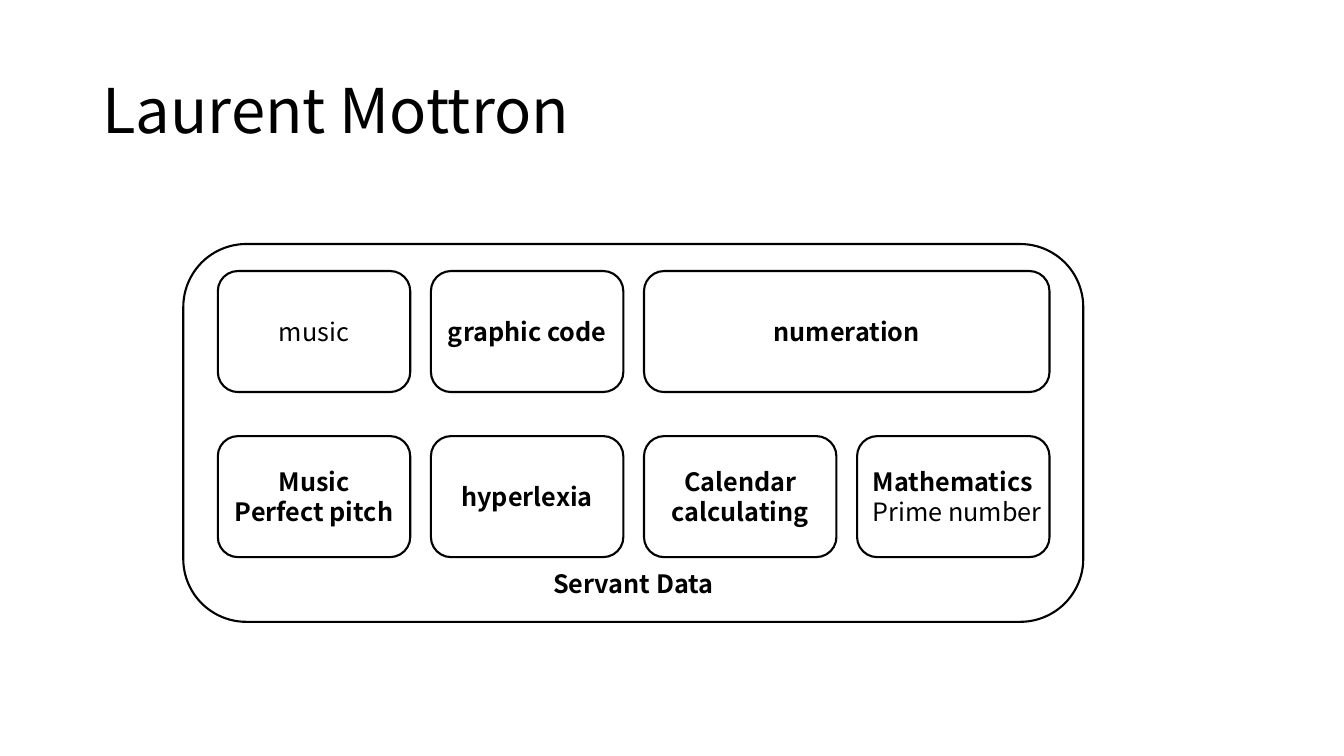
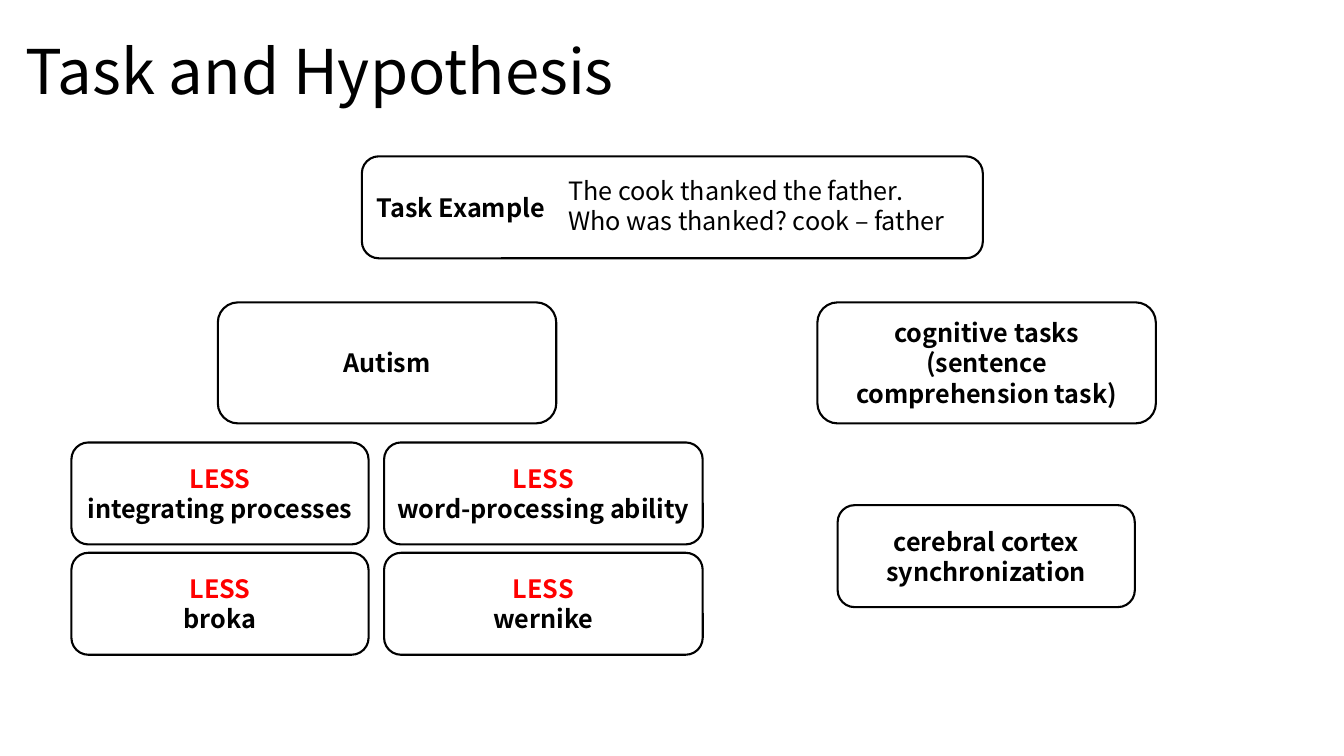
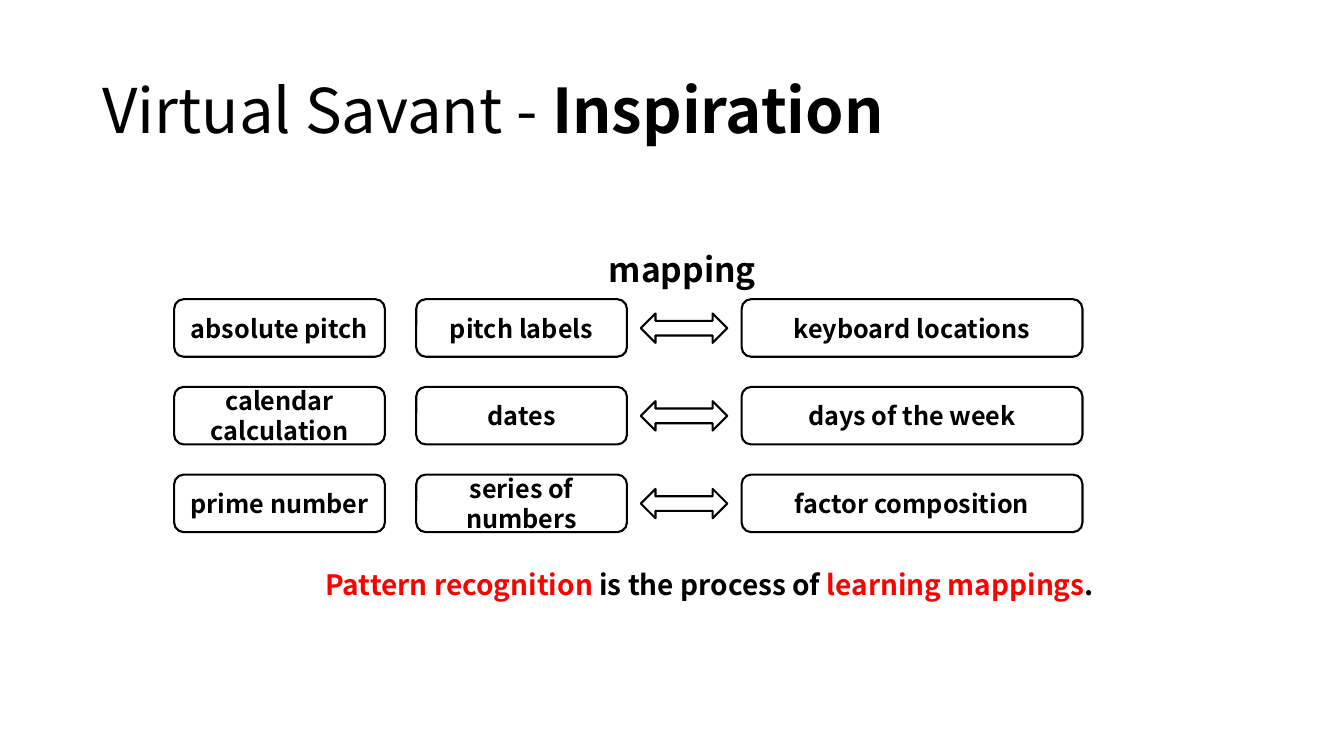
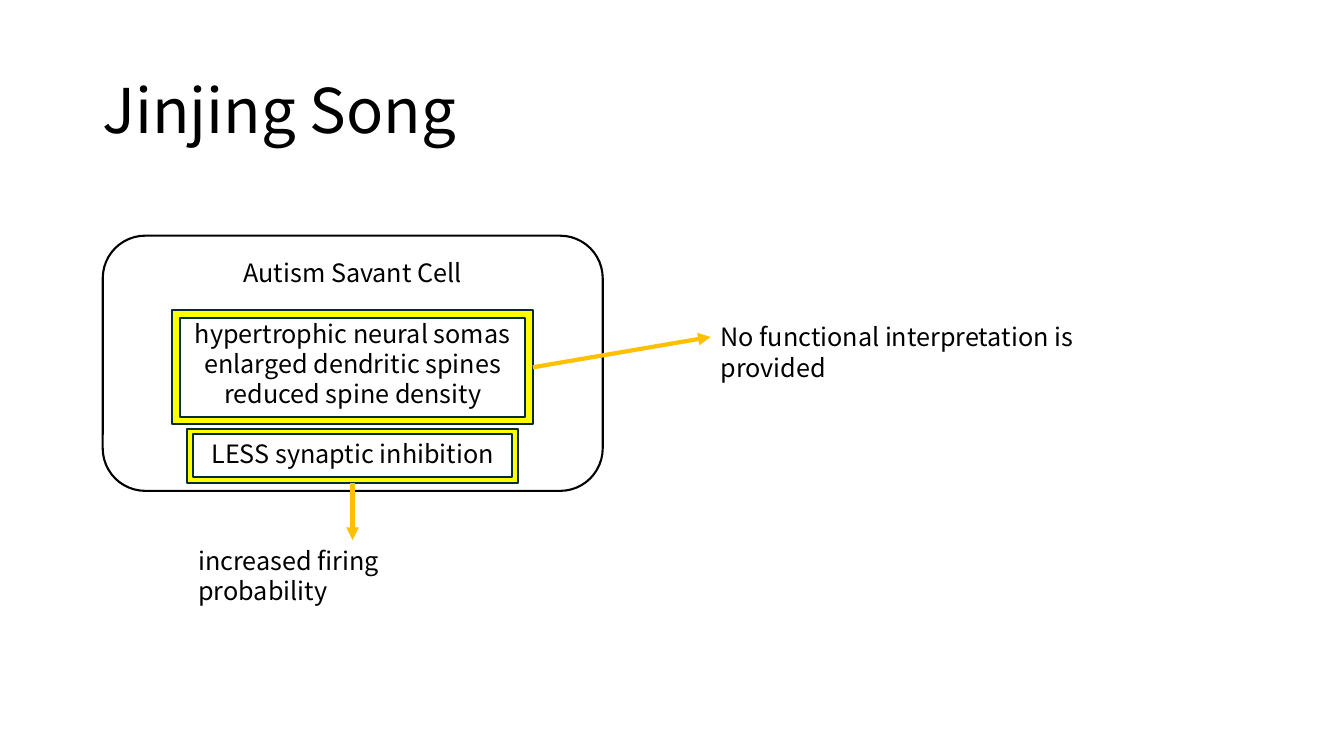
from pptx import Presentation
from pptx.dml.color import RGBColor
from pptx.enum.shapes import MSO_CONNECTOR, MSO_SHAPE
from pptx.enum.text import MSO_ANCHOR, PP_ALIGN
from pptx.oxml.ns import qn
from pptx.util import Cm, Pt
from lxml.etree import SubElement

BLACK = RGBColor(0x00, 0x00, 0x00)
WHITE = RGBColor(0xFF, 0xFF, 0xFF)
RED = RGBColor(0xFF, 0x00, 0x00)
YELLOW = RGBColor(0xFF, 0xFF, 0x00)
AMBER = RGBColor(0xFF, 0xC0, 0x00)
NAVY = RGBColor(0x09, 0x2A, 0x39)

LEFT, MID = PP_ALIGN.LEFT, PP_ALIGN.CENTER
PLAIN = {"bold": False}
ALERT = {"color": RED}


class Deck:
    """Shared style and the current slide."""

    base = {"name": "Noto Sans CJK KR", "size": Pt(18), "bold": False, "color": BLACK}

    def __init__(self):
        self.prs = Presentation()
        self.prs.slide_width, self.prs.slide_height = Cm(33.87), Cm(19.05)
        self.shapes = None

    def page(self, title, x=2.33, y=1.02):
        self.shapes = self.prs.slides.add_slide(self.prs.slide_layouts[6]).shapes
        box = self.label(x, y, 29.2, 3.68, [title], size=Pt(44))
        box.text_frame.vertical_anchor = MSO_ANCHOR.MIDDLE
        box.text_frame.paragraphs[0].line_spacing = 0.9

    def words(self, frame, lines, align, wrap, **style):
        """A line is a string or a list of (text, format) runs."""
        frame.word_wrap = wrap
        for i, line in enumerate(lines):
            para = frame.add_paragraph() if i else frame.paragraphs[0]
            para.alignment = align
            for text, extra in [(line, {})] if isinstance(line, str) else line:
                run = para.add_run()
                run.text = text
                for key, value in {**self.base, **style, **extra}.items():
                    if key == "color":
                        run.font.color.rgb = value
                    else:
                        setattr(run.font, key, value)

    def label(self, x, y, w, h, lines, wrap=True, **style):
        box = self.shapes.add_textbox(Cm(x), Cm(y), Cm(w), Cm(h))
        self.words(box.text_frame, lines, LEFT, wrap, **style)
        return box

    def shape(self, kind, x, y, w, h, fill=WHITE, line=BLACK):
        item = self.shapes.add_shape(kind, Cm(x), Cm(y), Cm(w), Cm(h))
        item.shadow.inherit = False
        item.fill.solid()
        item.fill.fore_color.rgb = fill
        item.line.color.rgb = line
        item.line.width = Pt(1.5)
        return item

    def card(self, x, y, w, h, lines, align=MID, anchor=MSO_ANCHOR.MIDDLE, bold=True):
        item = self.shape(MSO_SHAPE.ROUNDED_RECTANGLE, x, y, w, h)
        item.text_frame.vertical_anchor = anchor
        self.words(item.text_frame, lines, align, False, bold=bold)
        return item

    def frame(self, x, y, w, h, thick):
        item = self.shape(MSO_SHAPE.FRAME, x, y, w, h, YELLOW, NAVY)
        item.adjustments[0] = thick
        return item

    def arrow(self, start, out, end, into):
        link = self.shapes.add_connector(MSO_CONNECTOR.STRAIGHT, 0, 0, 0, 0)
        link.begin_connect(start, out)
        link.end_connect(end, into)
        link.line.color.rgb = AMBER
        link.line.width = Pt(3)
        props = link.element.spPr
        SubElement(props.find(qn("a:ln")), qn("a:tailEnd"), type="triangle")
        SubElement(props, qn("a:effectLst"))


def data(deck):
    deck.page("Laurent Mottron")
    deck.card(4.62, 6.15, 22.68, 9.52, ["Servant Data"], anchor=MSO_ANCHOR.BOTTOM)
    # Grid of talents: column, span, lines
    left, wide, step, high = 5.49, 4.85, 5.37, 3.05
    rows = {
        6.83: [(0, 1, [[("music", PLAIN)]]),
               (1, 1, ["graphic code"]),
               (2, 2, ["numeration"])],
        10.99: [(0, 1, ["Music", "Perfect pitch"]),
                (1, 1, ["hyperlexia"]),
                (2, 1, ["Calendar", "calculating"]),
                (3, 1, ["Mathematics", [("Prime number", PLAIN)]])],
    }
    for y, cells in rows.items():
        for col, span, lines in cells:
            card = deck.card(left + col * step, y, wide + (span - 1) * step, high, lines)
            if lines[0] == "Mathematics":
                card.text_frame.paragraphs[0].alignment = LEFT


def task(deck):
    deck.page("Task and Hypothesis", 0.4, 0.05)
    low = 2.57
    # Main topics
    deck.card(5.49, 7.62, 8.53, 3.05, ["Autism"])
    deck.card(20.6, 7.62, 8.53, 3.05,
              ["cognitive tasks", "(sentence", "comprehension task)"])
    deck.card(21.11, 12.73, 7.49, low, ["cerebral cortex", "synchronization"])
    # Weaker functions
    for x, w, names in [(1.8, 7.49, ["integrating processes", "broka"]),
                        (9.68, 8.03, ["word-processing ability", "wernike"])]:
        for row, name in enumerate(names):
            deck.card(x, 11.15 + row * 2.78, w, low, [[("LESS", ALERT)], name])
    # Example
    deck.card(9.12, 3.94, 15.65, low, ["Task Example"], LEFT)
    deck.label(14.07, 4.29, 10.16, 1.8,
               ["The cook thanked the father.", "Who was thanked? cook – father"],
               wrap=False)


def savant(deck):
    deck.page([("Virtual Savant - ", {}), ("Inspiration", {"bold": True})])
    deck.label(15.09, 6.15, 4.32, 1.27, ["mapping"], size=Pt(24), bold=True)
    # Mapping rows
    rows = [
        (["absolute pitch"], ["pitch labels"], ["keyboard locations"]),
        (["calendar", "calculation"], ["dates"], ["days of the week"]),
        (["prime number"], ["series of", "numbers"], ["factor composition"]),
    ]
    for i, row in enumerate(rows):
        y = 7.54 + i * 2.21
        for x, w, lines in zip((4.39, 10.49, 18.69), (5.31, 5.31, 8.59), row):
            deck.card(x, y, w, 1.45, lines)
        deck.shape(MSO_SHAPE.LEFT_RIGHT_ARROW, 16.15, y + 0.36, 2.18, 0.74)
    # Conclusion
    deck.label(7.95, 14.17, 20.73, 1.12,
               [[("Pattern recognition ", ALERT), ("is the process of ", {}),
                 ("learning mappings", ALERT), (".", {})]],
               size=Pt(20), bold=True)


def cell(deck):
    deck.page("Jinjing Song")
    body = deck.card(2.59, 5.94, 12.6, 6.43,
                     ["Autism Savant Cell", "hypertrophic neural somas",
                      "enlarged dendritic spines", "reduced spine density",
                      "LESS synaptic inhibition"], bold=False)
    for i in (1, 4):
        body.text_frame.paragraphs[i].space_before = Pt(21.5)
    # Highlights and their effects
    form = deck.frame(4.34, 7.82, 9.09, 2.87, 0.066)
    note = deck.label(17.91, 7.98, 11.9, 1.02,
                      ["No functional interpretation is provided"])
    deck.arrow(form, 3, note, 1)
    less = deck.frame(4.72, 10.8, 8.33, 1.37, 0.101)
    fire = deck.label(4.75, 13.61, 8.27, 1.02, ["increased firing probability"])
    deck.arrow(less, 2, fire, 0)


def main():
    deck = Deck()
    for build in (data, task, savant, cell):
        build(deck)
    deck.prs.save("out.pptx")


if __name__ == "__main__":
    main()
